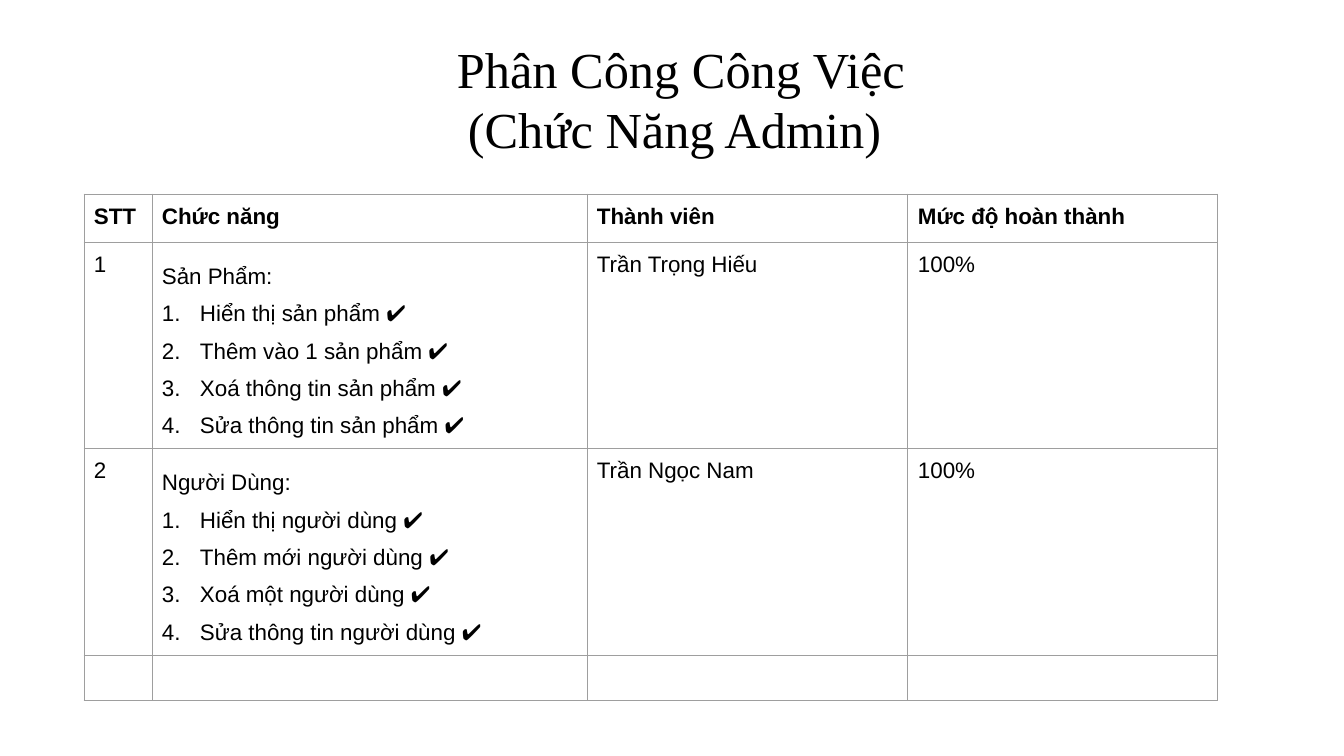
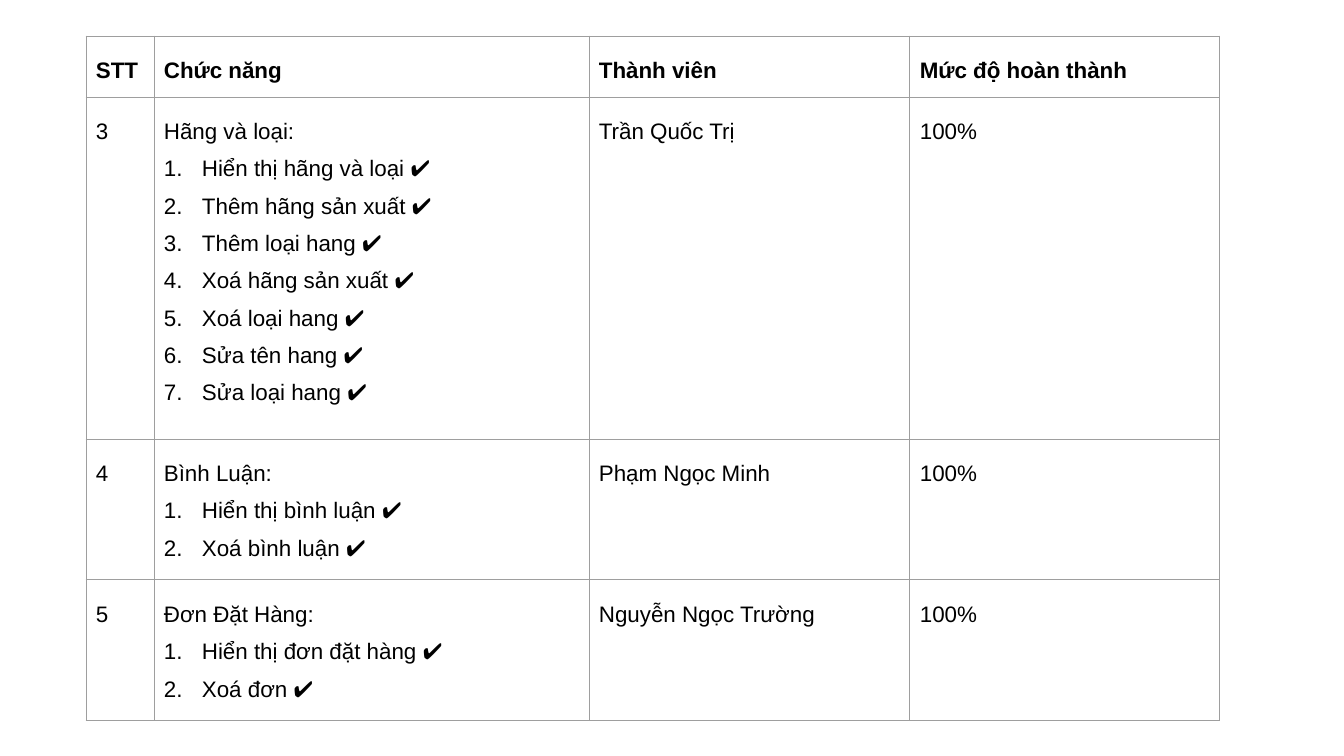
import lxml.etree
import pptx
import pptx.dml.color
import pptx.enum.text
import pptx.oxml.ns
import pptx.util

PX_PER_INCH = 100.8
BLACK = pptx.dml.color.RGBColor(0x00, 0x00, 0x00)
WHITE = pptx.dml.color.RGBColor(0xFF, 0xFF, 0xFF)
GRID_GRAY = pptx.dml.color.RGBColor(0x9E, 0x9E, 0x9E)

BODY_FONT = "Arial"
TITLE_FONT = "Times New Roman"
ALIGN = pptx.enum.text.PP_ALIGN
ANCHOR = pptx.enum.text.MSO_ANCHOR
TITLE_ONLY, BLANK = 5, 6

HEADINGS = ["STT", "Chức năng", "Thành viên", "Mức độ hoàn thành"]
COLUMN_WIDTHS = [68, 435, 321, 310]
CELL_INSET = 10
LIST_INDENT = 38
WIDE_SPACING = 1.5

FIRST_JOBS = [
    ("1", "Sản Phẩm:",
     ["Hiển thị sản phẩm", "Thêm vào 1 sản phẩm",
      "Xoá thông tin sản phẩm", "Sửa thông tin sản phẩm"],
     "Trần Trọng Hiếu", "100%"),
    ("2", "Người Dùng:",
     ["Hiển thị người dùng", "Thêm mới người dùng",
      "Xoá một người dùng", "Sửa thông tin người dùng"],
     "Trần Ngọc Nam", "100%"),
]
SECOND_JOBS = [
    ("3", "Hãng và loại:",
     ["Hiển thị hãng và loại", "Thêm hãng sản xuất", "Thêm loại hang",
      "Xoá hãng sản xuất", "Xoá loại hang", "Sửa tên hang", "Sửa loại hang"],
     "Trần Quốc Trị", "100%"),
    ("4", "Bình Luận:",
     ["Hiển thị bình luận", "Xoá bình luận"],
     "Phạm Ngọc Minh", "100%"),
    ("5", "Đơn Đặt Hàng:",
     ["Hiển thị đơn đặt hàng", "Xoá đơn"],
     "Nguyễn Ngọc Trường", "100%"),
]


def px(length):
    return pptx.util.Emu(round(length * 914400 / PX_PER_INCH))


def add_child(parent, tag, **attributes):
    child = lxml.etree.SubElement(parent, pptx.oxml.ns.qn(tag))
    for key, value in attributes.items():
        child.set(key, str(value))
    return child


def add_color(parent, color):
    return add_child(add_child(parent, "a:solidFill"), "a:srgbClr", val=color)


def write_lines(frame, lines, size=16, font=BODY_FONT, bold=False,
                align=ALIGN.LEFT, spacing=1.0):
    paragraphs = []
    for index, line in enumerate(lines):
        paragraph = frame.add_paragraph() if index else frame.paragraphs[0]
        paragraph.alignment = align
        paragraph.line_spacing = spacing
        run = paragraph.add_run()
        run.text = line
        run.font.size = pptx.util.Pt(size)
        run.font.name = font
        run.font.bold = bold
        run.font.color.rgb = BLACK
        paragraphs.append(paragraph)
    return paragraphs


def number_paragraph(paragraph):
    properties = paragraph._p.get_or_add_pPr()
    properties.set("marL", str(px(LIST_INDENT)))
    properties.set("indent", str(-px(LIST_INDENT)))
    add_child(add_child(properties, "a:buClr"), "a:srgbClr", val=BLACK)
    add_child(properties, "a:buFont", typeface=BODY_FONT)
    add_child(properties, "a:buAutoNum", type="arabicPeriod")


def format_cell(cell):
    properties = cell._tc.get_or_add_tcPr()
    for side in ("a:lnL", "a:lnR", "a:lnT", "a:lnB"):
        border = add_child(properties, side, w=pptx.util.Pt(0.75))
        add_color(border, GRID_GRAY)
    cell.fill.background()
    cell.vertical_anchor = ANCHOR.TOP


def write_cell(cell, lines, **text_format):
    cell.margin_left = cell.margin_right = px(CELL_INSET)
    cell.margin_top = cell.margin_bottom = px(CELL_INSET)
    return write_lines(cell.text_frame, lines, **text_format)


def add_job_table(slide, left, top, row_heights, jobs, spacing):
    frame = slide.shapes.add_table(
        len(row_heights), len(COLUMN_WIDTHS), px(left), px(top),
        px(sum(COLUMN_WIDTHS)), px(sum(row_heights)))
    table = frame.table
    table.first_row = False
    table.horz_banding = False
    for column, width in zip(table.columns, COLUMN_WIDTHS):
        column.width = px(width)
    for row, height in zip(table.rows, row_heights):
        row.height = px(height)
    for cell in table.iter_cells():
        format_cell(cell)

    for column, heading in enumerate(HEADINGS):
        write_cell(table.cell(0, column), [heading], bold=True, spacing=spacing)
    for row, (number, group, tasks, member, progress) in enumerate(jobs, 1):
        for column, value in ((0, number), (2, member), (3, progress)):
            write_cell(table.cell(row, column), [value], spacing=spacing)
        lines = [group] + [f"{task} ✔️" for task in tasks]
        paragraphs = write_cell(table.cell(row, 1), lines,
                                align=ALIGN.JUSTIFY, spacing=WIDE_SPACING)
        for paragraph in paragraphs[1:]:
            number_paragraph(paragraph)


def add_title(slide, left, top, width, height, lines):
    title = slide.shapes.title
    title.left, title.top = px(left), px(top)
    title.width, title.height = px(width), px(height)
    title.text_frame.word_wrap = True
    title.text_frame.auto_size = pptx.enum.text.MSO_AUTO_SIZE.NONE
    title.text_frame.vertical_anchor = ANCHOR.TOP
    write_lines(title.text_frame, lines, size=36, font=TITLE_FONT,
                align=ALIGN.CENTER)


def add_slide(deck, layout):
    slide = deck.slides.add_slide(deck.slide_layouts[layout])
    slide.background.fill.solid()
    slide.background.fill.fore_color.rgb = WHITE
    return slide


def main():
    deck = pptx.Presentation()
    deck.slide_width, deck.slide_height = px(1344), px(756)

    opening = add_slide(deck, TITLE_ONLY)
    add_title(opening, 390, 33, 582, 132,
              ["Phân Công Công Việc", "(Chức Năng Admin) "])
    add_job_table(opening, 84, 194, [48, 206, 207, 45], FIRST_JOBS, 1.0)

    continuation = add_slide(deck, BLANK)
    add_job_table(continuation, 86, 36, [61, 342, 141, 141], SECOND_JOBS,
                  WIDE_SPACING)

    deck.save("out.pptx")


if __name__ == "__main__":
    main()
